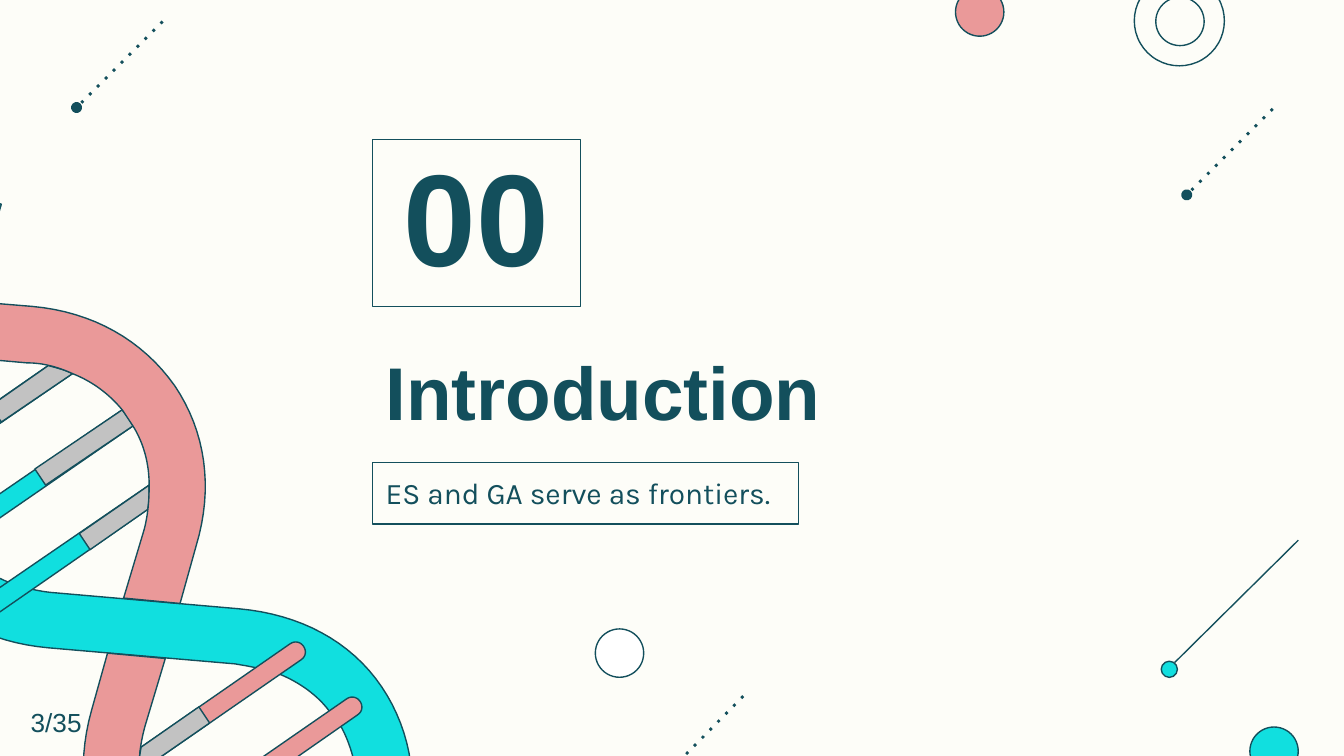
from dataclasses import dataclass

from lxml.etree import SubElement
from pptx import Presentation
from pptx.dml.color import RGBColor
from pptx.enum.shapes import MSO_CONNECTOR, MSO_SHAPE
from pptx.enum.text import MSO_ANCHOR, MSO_AUTO_SIZE, PP_ALIGN
from pptx.oxml.ns import qn
from pptx.util import Inches, Pt


@dataclass(frozen=True)
class Theme:
    paper: str = "FDFDF8"
    ink: str = "134F5C"
    cyan: str = "11DFDF"
    light_cyan: str = "36E2EB"
    pink: str = "EA9999"
    grey: str = "C2C2C2"
    white: str = "FFFFFF"
    heading_font: str = "Arial"
    body_font: str = "Karla"
    number_size: int = 70
    title_size: int = 40
    subtitle_size: int = 16
    page_size: int = 14
    thin: float = 0.75
    thick: float = 1.5


def apply_format(target, values):
    for name, value in values.items():
        setattr(target, name, value)


def flatten(path, steps=16):
    """Turn points (x, y) and cubic curves (x1, y1, x2, y2, x, y) into points."""
    points = []
    for segment in path:
        if len(segment) == 2:
            points.append(segment)
            continue
        corners = [points[-1], segment[0:2], segment[2:4], segment[4:6]]
        for step in range(1, steps + 1):
            t = step / steps
            weights = ((1 - t) ** 3, 3 * t * (1 - t) ** 2, 3 * t * t * (1 - t), t ** 3)
            points.append(tuple(sum(weight * corner[axis] for weight, corner in zip(weights, corners))
                                for axis in (0, 1)))
    return points


def round_cap(start, end):
    """A near half circle from start to end."""
    reach_x = -(end[1] - start[1]) * 2 / 3
    reach_y = (end[0] - start[0]) * 2 / 3
    return [start, (start[0] + reach_x, start[1] + reach_y,
                    end[0] + reach_x, end[1] + reach_y, *end)]


class SlideBuilder:
    def __init__(self, page, theme):
        self.page = page
        self.theme = theme
        page.background.fill.solid()
        page.background.fill.fore_color.rgb = RGBColor.from_string(theme.paper)

    def paint(self, shape, fill=None):
        shape.shadow.inherit = False
        if fill:
            shape.fill.solid()
            shape.fill.fore_color.rgb = RGBColor.from_string(fill)
        else:
            shape.fill.background()
        self.outline(shape)

    def outline(self, shape, width=None):
        shape.line.color.rgb = RGBColor.from_string(self.theme.ink)
        shape.line.width = Pt(width or self.theme.thin)

    def circle(self, x, y, diameter, fill=None):
        size = Inches(diameter)
        self.paint(self.page.shapes.add_shape(
            MSO_SHAPE.OVAL, Inches(x), Inches(y), size, size), fill)

    def line(self, start, end, dotted=False, dot_end=False):
        connector = self.page.shapes.add_connector(
            MSO_CONNECTOR.STRAIGHT, *(Inches(value) for value in (*start, *end)))
        self.outline(connector, self.theme.thick if dotted else None)
        stroke = connector.line._get_or_add_ln()
        if dotted:
            SubElement(stroke, qn("a:prstDash"), val="dot")
        if dot_end:
            SubElement(stroke, qn("a:tailEnd"), type="oval")
        SubElement(connector._element.spPr, qn("a:effectLst"))

    def outline_shape(self, path, fill):
        points = [(Inches(x), Inches(y)) for x, y in flatten(path)]
        builder = self.page.shapes.build_freeform(*points[0])
        builder.add_line_segments(points[1:], close=True)
        self.paint(builder.convert_to_shape(), fill)

    def rung(self, cap, split, root, cap_fill, root_fill):
        self.outline_shape(round_cap(*cap) + root, cap_fill)
        if split:
            self.outline_shape(split + root, root_fill)

    def text(self, box, place, words, size, font, bold=False, framed=False,
             frame_format=None, para_format=None):
        names = ("left", "top", "width", "height")
        apply_format(box, dict(zip(names, map(Inches, place))))
        if framed:
            self.outline(box)
        margins = dict.fromkeys(
            ("margin_left", "margin_right", "margin_top", "margin_bottom"), Inches(0.1))
        apply_format(box.text_frame, {"word_wrap": True, "auto_size": MSO_AUTO_SIZE.NONE,
                                      **margins, **(frame_format or {})})
        para = box.text_frame.paragraphs[0]
        apply_format(para, {"alignment": PP_ALIGN.LEFT, "space_before": Pt(0),
                            **(para_format or {})})
        span = para.add_run()
        span.text = words
        apply_format(span.font, {"size": Pt(size), "name": font, "bold": bold})
        span.font.color.rgb = RGBColor.from_string(self.theme.ink)


def add_decoration(slide, theme):
    # Dotted trails
    slide.line((5.53, 5.18), (4.89, 5.83), dotted=True)
    for x, y in ((9.47, 0.81), (1.21, 0.16)):
        slide.line((x, y), (x - 0.64, y + 0.64), dotted=True, dot_end=True)
    # Circles, rings and the pin
    for x, y, diameter, fill in (
            (9.3, 5.41, 0.36, theme.cyan), (8.44, -0.18, 0.67, None),
            (8.6, -0.02, 0.36, None), (8.64, 4.92, 0.12, theme.cyan),
            (7.11, -0.09, 0.36, theme.pink), (4.43, 4.68, 0.36, theme.white)):
        slide.circle(x, y, diameter, fill)
    slide.line((8.74, 4.93), (9.66, 4.02))


def add_helix(slide, theme):
    # Cyan strand and the end of the turn above it
    slide.outline_shape([
        (-0.74, 2.62), (-0.86, 3.04), (-0.99, 3.47, -0.93, 3.9, -0.69, 4.24),
        (-0.46, 4.58, -0.09, 4.78, 0.36, 4.82), (1.75, 4.94),
        (1.87, 4.96, 1.98, 4.98, 2.09, 5.02), (2.23, 5.08, 2.36, 5.17, 2.45, 5.29),
        (2.54, 5.41), (2.61, 5.54, 2.65, 5.69, 2.66, 5.85),
        (2.66, 5.97, 2.64, 6.08, 2.61, 6.19), (2.47, 6.7), (2.89, 6.74), (3.01, 6.31),
        (3.13, 5.88, 3.07, 5.45, 2.84, 5.11), (2.61, 4.77, 2.23, 4.57, 1.78, 4.53),
        (0.4, 4.41), (0.28, 4.4, 0.17, 4.37, 0.06, 4.33),
        (-0.09, 4.27, -0.21, 4.18, -0.31, 4.06), (-0.39, 3.94),
        (-0.47, 3.81, -0.51, 3.66, -0.51, 3.5),
        (-0.51, 3.38, -0.49, 3.27, -0.46, 3.16), (-0.32, 2.65)], theme.cyan)
    slide.outline_shape([(-0.39, 1.4), (-0.62, 2.21), (-0.2, 2.24), (0.01, 1.52)],
                        theme.light_cyan)
    # Lower pink strand
    slide.outline_shape([
        (0.8, 4.86), (0.68, 5.29), (0.56, 5.72, 0.62, 6.14, 0.85, 6.48),
        (1.08, 6.82, 1.46, 7.03, 1.91, 7.07), (3.61, 7.21), (3.64, 6.8), (1.94, 6.65),
        (1.82, 6.64, 1.71, 6.62, 1.61, 6.57), (1.46, 6.51, 1.33, 6.42, 1.24, 6.31),
        (1.15, 6.19), (1.08, 6.05, 1.04, 5.9, 1.04, 5.74),
        (1.03, 5.62, 1.05, 5.51, 1.08, 5.4), (1.23, 4.9)], theme.pink)
    # Upper rungs: cap corners, split, root
    for cap, split, root in (
            (((-0.52, 4.03), (-0.43, 4.15)), [(0.26, 3.49), (0.34, 3.61)],
             [(0.99, 3.17), (0.95, 3.1), (0.91, 3.05)]),
            (((-0.75, 3.49), (-0.67, 3.61)), [(-0.07, 3.02), (0.01, 3.14)],
             [(0.54, 2.78), (0.48, 2.75, 0.43, 2.74, 0.36, 2.72)]),
            (((-0.1, 4.44), (-0.01, 4.56)), [(0.59, 3.97), (0.67, 4.09)],
             [(1.1, 3.79), (1.11, 3.73, 1.11, 3.67, 1.11, 3.61)])):
        slide.rung(cap, split, root, theme.cyan, theme.grey)
    # Upper pink strand
    slide.outline_shape([
        (-1.46, 2.14), (-1.5, 2.55), (0.2, 2.7), (0.32, 2.7, 0.43, 2.73, 0.54, 2.78),
        (0.69, 2.84, 0.81, 2.93, 0.91, 3.05), (0.99, 3.17),
        (1.07, 3.3, 1.11, 3.45, 1.11, 3.61), (1.11, 3.73, 1.1, 3.84, 1.07, 3.95),
        (0.92, 4.45), (1.34, 4.49), (1.46, 4.06), (1.59, 3.63, 1.53, 3.21, 1.3, 2.87),
        (1.06, 2.53, 0.69, 2.32, 0.24, 2.28)], theme.pink)
    # Lower rungs
    for cap, split, root in (
            (((2.66, 5.32), (2.58, 5.2)), None,
             [(1.15, 6.19), (1.19, 6.25), (1.24, 6.31)]),
            (((2.24, 4.91), (2.16, 4.79)), [(1.56, 5.38), (1.48, 5.26)],
             [(1.05, 5.56), (1.04, 5.62, 1.03, 5.68, 1.04, 5.74)])):
        slide.rung(cap, split, root, theme.pink, theme.grey)


def add_words(slide, theme):
    shapes = slide.page.shapes
    # Section title, subtitle, number and page count
    slide.text(shapes.title, (2.77, 2.28, 5.23, 1.16), "Introduction",
               theme.title_size, theme.heading_font, bold=True,
               frame_format={"vertical_anchor": MSO_ANCHOR.MIDDLE},
               para_format={"line_spacing": 1.15})
    slide.text(slide.page.placeholders[1], (2.77, 3.44, 3.17, 0.46),
               "ES and GA serve as frontiers.", theme.subtitle_size, theme.body_font,
               framed=True, frame_format={"vertical_anchor": MSO_ANCHOR.BOTTOM},
               para_format={"line_spacing": 1.15})
    number, count = (shapes.add_textbox(0, 0, 0, 0) for _ in range(2))
    slide.text(number, (2.77, 1.04, 1.55, 1.24), "00", theme.number_size,
               theme.heading_font, bold=True, framed=True,
               frame_format={"vertical_anchor": MSO_ANCHOR.BOTTOM},
               para_format={"alignment": PP_ALIGN.CENTER})
    slide.text(count, (0.13, 5.21, 0.58, 0.34), "3/35", theme.page_size,
               theme.heading_font,
               frame_format={"word_wrap": False, "margin_top": Inches(0.05),
                             "margin_bottom": Inches(0.05),
                             "auto_size": MSO_AUTO_SIZE.SHAPE_TO_FIT_TEXT})


def main():
    deck = Presentation()
    deck.slide_width, deck.slide_height = Inches(10), Inches(10 * 9 / 16)
    theme = Theme()
    slide = SlideBuilder(deck.slides.add_slide(deck.slide_layouts[0]), theme)
    add_decoration(slide, theme)
    add_helix(slide, theme)
    add_words(slide, theme)
    deck.save("out.pptx")


if __name__ == "__main__":
    main()
